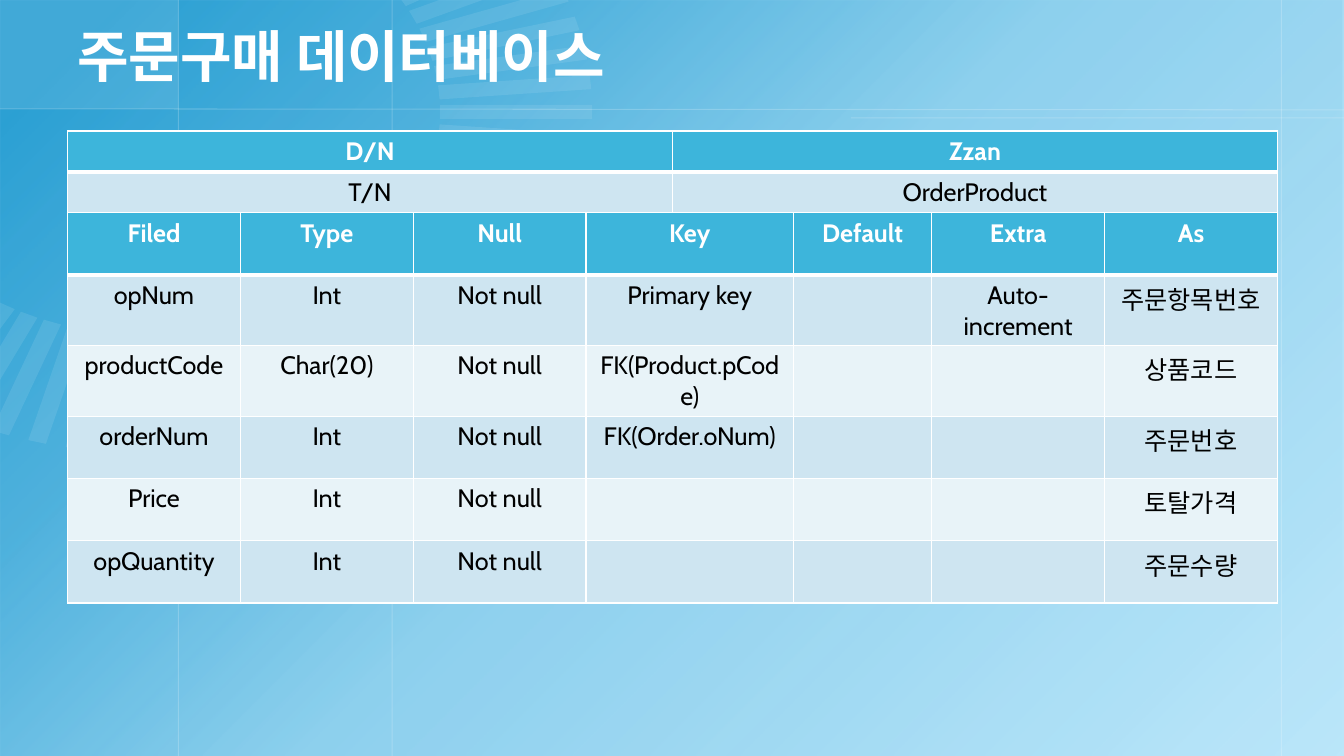
import math
from dataclasses import dataclass

from lxml import etree
from pptx import Presentation
from pptx import util as u
from pptx.dml.color import RGBColor
from pptx.enum import shapes, text
from pptx.oxml import ns

WHITE, BLACK, SKY, DEEP = "FFFFFF", "000000", "BCE7FA", "0F92CC"
RAY, HEADER = "F2FAFE", "3DB5DB"
BANDS = ("CEE5F1", "E8F3F8")
SLIDE_W, SLIDE_H = 13.33, 7.5
Point = tuple[float, float]


@dataclass
class Guide:
    x1: float
    y1: float
    x2: float
    y2: float


@dataclass
class Fan:
    cx: float
    cy: float
    inner: float
    outer: float
    half: float
    stretch: float
    angles: range


@dataclass
class Grid:
    top: float
    height: float
    weights: list[float]
    rows: list[list[str]]


GUIDES = [Guide(x, 0, x, SLIDE_H) for x in (1.77, 12.71, 3.89)] + [
    Guide(0, 1.08, SLIDE_W, 1.09),
    Guide(8.44, 1.17, SLIDE_W, 1.17),
]
FAN = Fan(1.5, 1.11, 2.22, 3.39, 0.07, 1.29, range(-30, 121, 5))
GRIDS = [
    Grid(1.3, 0.81, [1, 1], [["D/N", "Zzan"], ["T/N", "OrderProduct"]]),
    Grid(2.11, 3.71, [1, 1, 1, 1.2, 0.8, 1, 1], [
        ["Filed", "Type", "Null", "Key", "Default", "Extra", "As"],
        ["opNum", "Int", "Not null", "Primary key", "", "Auto-increment", "주문항목번호"],
        ["productCode", "Char(20)", "Not null", "FK(Product.pCode)", "", "", "상품코드"],
        ["orderNum", "Int", "Not null", "FK(Order.oNum)", "", "", "주문번호"],
        ["Price", "Int", "Not null", "", "", "", "토탈가격"],
        ["opQuantity", "Int", "Not null", "", "", "", "주문수량"],
    ]),
]


def rgb(value: str) -> RGBColor:
    return RGBColor.from_string(value)


def sub(parent, tag: str, **attrs):
    return etree.SubElement(parent, ns.qn(tag), {k: str(v) for k, v in attrs.items()})


def set_alpha(element, percent: int) -> None:
    color = next(element.iter(ns.qn("a:srgbClr")))
    sub(color, "a:alpha", val=percent * 1000)


def style_text(p, value: str, formats: dict, color: str) -> None:
    r = p.add_run()
    r.text = value
    for name, setting in formats.items():
        setattr(r.font, name, setting)
    r.font.color.rgb = rgb(color)


def paint(s, color: str, alpha: int) -> None:
    s.shadow.inherit = False
    s.line.fill.background()
    s.fill.solid()
    s.fill.fore_color.rgb = rgb(color)
    set_alpha(s._element.spPr, alpha)


def add_rect(slide, width: float, height: float):
    return slide.shapes.add_shape(
        shapes.MSO_SHAPE.RECTANGLE, 0, 0, u.Inches(width), u.Inches(height))


def add_backdrop(slide) -> None:
    fill = slide.background.fill
    fill.solid()
    fill.fore_color.rgb = rgb(SKY)
    s = add_rect(slide, SLIDE_W, SLIDE_H)
    s.shadow.inherit = False
    s.line.fill.background()
    s.fill.gradient()
    s.fill.gradient_angle = 315
    stops = next(s._element.spPr.iter(ns.qn("a:gsLst")))
    for stop in list(stops):
        stops.remove(stop)
    for position, alpha in ((6, 83), (26, 63), (50, 27), (100, 0)):
        gs = sub(stops, "a:gs", pos=position * 1000)
        sub(gs, "a:srgbClr", val=DEEP)
        set_alpha(gs, alpha)
    paint(add_rect(slide, 1.77, 1.08), WHITE, 10)


def add_guide(slide, guide: Guide) -> None:
    ends = [u.Inches(v) for v in (guide.x1, guide.y1, guide.x2, guide.y2)]
    c = slide.shapes.add_connector(shapes.MSO_CONNECTOR.STRAIGHT, *ends)
    c.line.width = u.Pt(0.75)
    c.line.color.rgb = rgb(WHITE)
    set_alpha(c._element.spPr, 20)
    sub(c._element.spPr, "a:effectLst")


def clip(points: list[Point], axis: int) -> list[Point]:
    kept = []
    for a, b in zip(points, points[1:] + points[:1]):
        if a[axis] >= 0:
            kept.append(a)
        if (a[axis] >= 0) != (b[axis] >= 0):
            t = a[axis] / (a[axis] - b[axis])
            kept.append((a[0] + t * (b[0] - a[0]), a[1] + t * (b[1] - a[1])))
    return kept


def add_ray(slide, fan: Fan, angle: int) -> None:
    cos, sin = math.cos(math.radians(angle)), math.sin(math.radians(angle))
    corners = [(fan.inner, -fan.half), (fan.outer, -fan.half),
               (fan.outer, fan.half), (fan.inner, fan.half)]
    points = [(fan.cx + fan.stretch * (d * cos - w * sin), fan.cy + d * sin + w * cos)
              for d, w in corners]
    points = clip(clip(points, 0), 1)
    outline = [(u.Inches(x), u.Inches(y)) for x, y in points]
    builder = slide.shapes.build_freeform(*outline[0])
    builder.add_line_segments(outline[1:], close=True)
    paint(builder.convert_to_shape(), RAY, 10)


def add_title(slide, value: str) -> None:
    s = slide.shapes.add_textbox(*[u.Inches(v) for v in (0.67, 0.01, 10.89, 1.08)])
    tf = s.text_frame
    tf.word_wrap = True
    tf.vertical_anchor = text.MSO_ANCHOR.MIDDLE
    style_text(tf.paragraphs[0], value,
               {"name": "Calibri", "size": u.Pt(40), "bold": True}, WHITE)


def add_borders(cell, bottom: int) -> None:
    tc_pr = cell._tc.get_or_add_tcPr()
    for i, (side, width) in enumerate((("L", 1), ("R", 1), ("T", 1), ("B", bottom))):
        line = sub(tc_pr, f"a:ln{side}", w=u.Pt(width))
        sub(sub(line, "a:solidFill"), "a:srgbClr", val=WHITE)
        tc_pr.insert(i, line)


def add_grid(slide, grid: Grid) -> None:
    width = 12
    frame = slide.shapes.add_table(
        len(grid.rows), len(grid.weights), u.Inches(0.67), u.Inches(grid.top),
        u.Inches(width), u.Inches(grid.height))
    table = frame.table
    for column, weight in zip(table.columns, grid.weights):
        column.width = u.Inches(width * weight / sum(grid.weights))
    for i, values in enumerate(grid.rows):
        table.rows[i].height = u.Inches(grid.height / len(grid.rows))
        head = i == 0
        formats = {"name": "Cabin", "size": u.Pt(18), "bold": head}
        for j, value in enumerate(values):
            cell = table.cell(i, j)
            cell.fill.solid()
            cell.fill.fore_color.rgb = rgb(HEADER if head else BANDS[(i - 1) % 2])
            add_borders(cell, 3 if head else 1)
            p = cell.text_frame.paragraphs[0]
            p.alignment = text.PP_ALIGN.CENTER
            if value:
                style_text(p, value, formats, WHITE if head else BLACK)
            else:
                p.font.size = u.Pt(18)


def main() -> None:
    prs = Presentation()
    prs.slide_width, prs.slide_height = u.Inches(SLIDE_W), u.Inches(SLIDE_H)
    slide = prs.slides.add_slide(prs.slide_layouts[6])
    add_backdrop(slide)
    for guide in GUIDES:
        add_guide(slide, guide)
    for angle in FAN.angles:
        add_ray(slide, FAN, angle)
    add_title(slide, "주문구매 데이터베이스")
    for grid in GRIDS:
        add_grid(slide, grid)
    prs.save("out.pptx")


if __name__ == "__main__":
    main()
